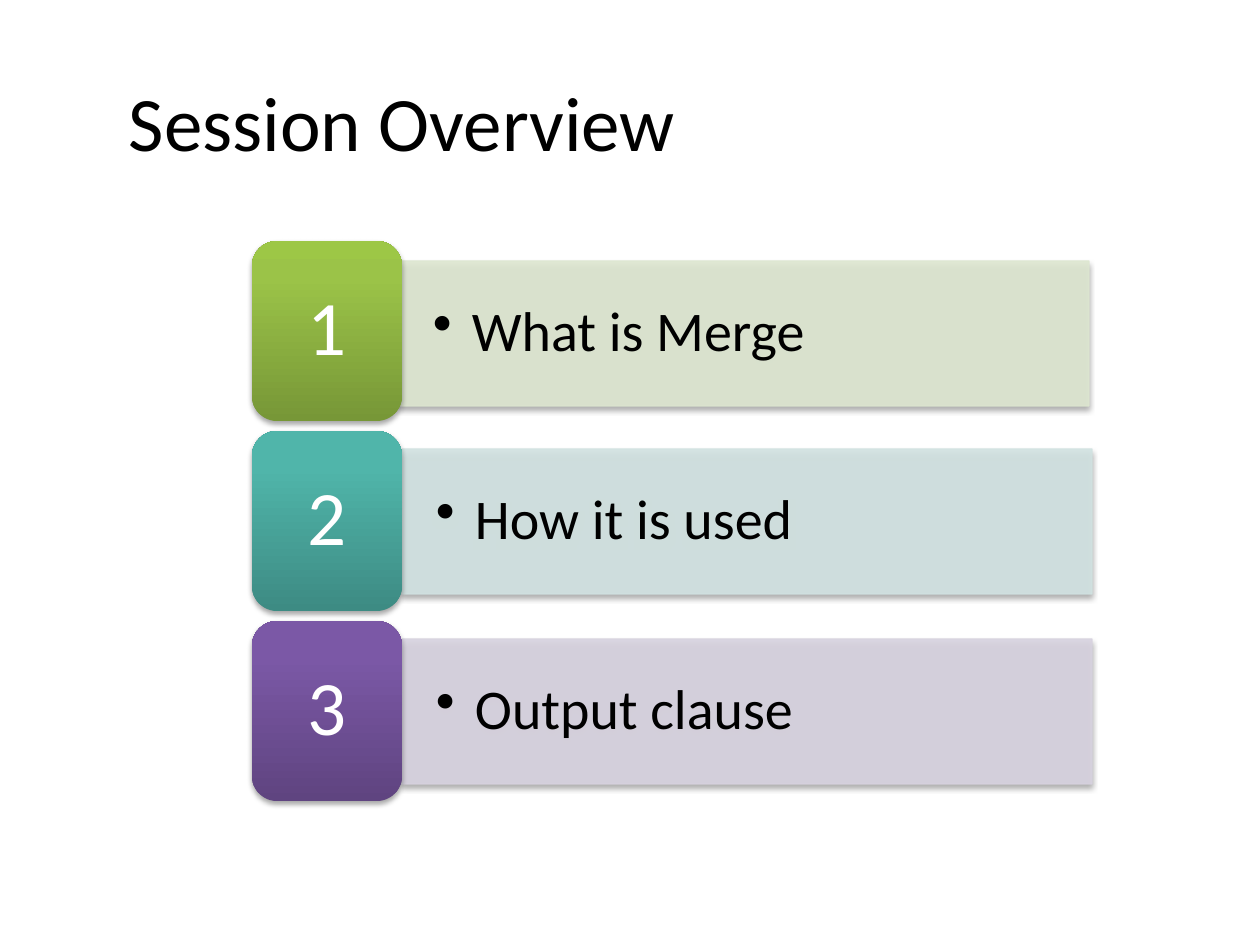
from copy import deepcopy

from lxml import etree
from pptx import Presentation
from pptx.dml.color import RGBColor
from pptx.enum.shapes import MSO_SHAPE
from pptx.enum.text import MSO_ANCHOR, PP_ALIGN
from pptx.oxml.ns import qn
from pptx.util import Pt

RECT, ROUND = MSO_SHAPE.RECTANGLE, MSO_SHAPE.ROUNDED_RECTANGLE
MIDDLE = MSO_ANCHOR.MIDDLE
LEFT, CENTER = PP_ALIGN.LEFT, PP_ALIGN.CENTER

SCALE = 914400 / 126  # EMU in one px
FONT = "Calibri"
BLACK = RGBColor(0x00, 0x00, 0x00)
WHITE = RGBColor(0xFF, 0xFF, 0xFF)
# Bar colour, then tile colours from bottom to top
GREEN = [RGBColor(0xDE, 0xE7, 0xD1), RGBColor(0x77, 0x97, 0x37),
         RGBColor(0x9B, 0xC3, 0x48), RGBColor(0x9D, 0xC7, 0x46)]
TEAL = [RGBColor(0xD2, 0xE3, 0xE2), RGBColor(0x3D, 0x8B, 0x83),
        RGBColor(0x50, 0xB5, 0xAA), RGBColor(0x4E, 0xB8, 0xAC)]
PURPLE = [RGBColor(0xD8, 0xD3, 0xE0), RGBColor(0x5F, 0x44, 0x80),
          RGBColor(0x7B, 0x58, 0xA6), RGBColor(0x7C, 0x57, 0xA8)]
STOPS = (0, 0.8, 1)

# Text, colours, and offset of the bar from its tile
ROWS = [("What is Merge", GREEN, 147, 20),
        ("How it is used", TEAL, 150, 18),
        ("Output clause", PURPLE, 150, 18)]


def px(n):
    return round(n * SCALE)


def add_node(parent, tag, **attrs):
    node = etree.SubElement(parent, qn(tag))
    for key, value in attrs.items():
        node.set(key, str(value))
    return node


def add_shape(slide, kind, left, top, width, height):
    """Add a preset shape with a soft shadow below it."""
    shape = slide.shapes.add_shape(kind, px(left), px(top), px(width), px(height))
    shape.shadow.inherit = False
    effects = shape._element.spPr.find(qn("a:effectLst"))
    shade = add_node(effects, "a:outerShdw", blurRad=Pt(3.1), dist=Pt(1.8),
                     dir=5400000, rotWithShape=0)
    color = add_node(shade, "a:srgbClr", val="000000")
    add_node(color, "a:alpha", val=35000)
    return shape


def set_text(shape, text, size, color, align, pad):
    """Write one paragraph, centred in height; pad is (side, end) in px."""
    frame = shape.text_frame
    frame.word_wrap = True
    frame.vertical_anchor = MIDDLE
    frame.margin_left = frame.margin_right = px(pad[0])
    frame.margin_top = frame.margin_bottom = px(pad[1])
    para = frame.paragraphs[0]
    para.text = text
    para.alignment = align
    para.font.name, para.font.size = FONT, Pt(size)
    para.font.color.rgb = color
    return para


def add_title(slide, left, top, width, height):
    title = slide.shapes.title
    title.left, title.top = px(left), px(top)
    title.width, title.height = px(width), px(height)
    set_text(title, "Session Overview", 44, BLACK, LEFT, (13, 6))


def add_bar(slide, left, top, text, color):
    bar = add_shape(slide, RECT, left, top, 690, 145)
    bar.fill.solid()
    bar.fill.fore_color.rgb = color
    bar.line.color.rgb = color
    bar.line.width = Pt(0.75)
    # Fill and line are slightly see-through
    props = bar._element.spPr
    for tag in ("a:solidFill", "a:ln/a:solidFill"):
        path = "/".join(qn(part) for part in tag.split("/"))
        add_node(props.find(path)[0], "a:alpha", val=90000)

    para = set_text(bar, text, 32, BLACK, LEFT, (34, 17))
    para.level = 1
    para.line_spacing = 0.9
    rules = para._p.get_or_add_pPr()
    rules.set("marL", str(px(39)))
    rules.set("indent", str(-px(39)))
    bullet = etree.Element(qn("a:buChar"), char="•")
    rules.find(qn("a:defRPr")).addprevious(bullet)


def add_tile(slide, left, top, number, colors):
    tile = add_shape(slide, ROUND, left, top, 150, 180)
    tile.line.fill.background()
    tile.fill.gradient()
    tile.fill.gradient_angle = 90
    stops = tile._element.spPr.find(qn("a:gradFill")).find(qn("a:gsLst"))
    stops.append(deepcopy(stops[-1]))
    for stop, color, place in zip(tile.fill.gradient_stops, colors, STOPS):
        stop.color.rgb = color
        stop.position = place
    para = set_text(tile, str(number), 44, WHITE, CENTER, (30, 18))
    para.line_spacing = 0.9


def add_list(slide, left, top, pitch):
    for i, (text, (pale, *shades), dx, dy) in enumerate(ROWS):
        y = top + i * pitch
        add_bar(slide, left + dx, y + dy, text, pale)
        add_tile(slide, left, y, i + 1, shades)


def main():
    deck = Presentation()
    deck.slide_width, deck.slide_height = px(1260), px(945)
    slide = deck.slides.add_slide(deck.slide_layouts[5])
    add_title(slide, 116, 42, 1113, 158)
    add_list(slide, 252, 241, 190)
    deck.save("out.pptx")


if __name__ == "__main__":
    main()
